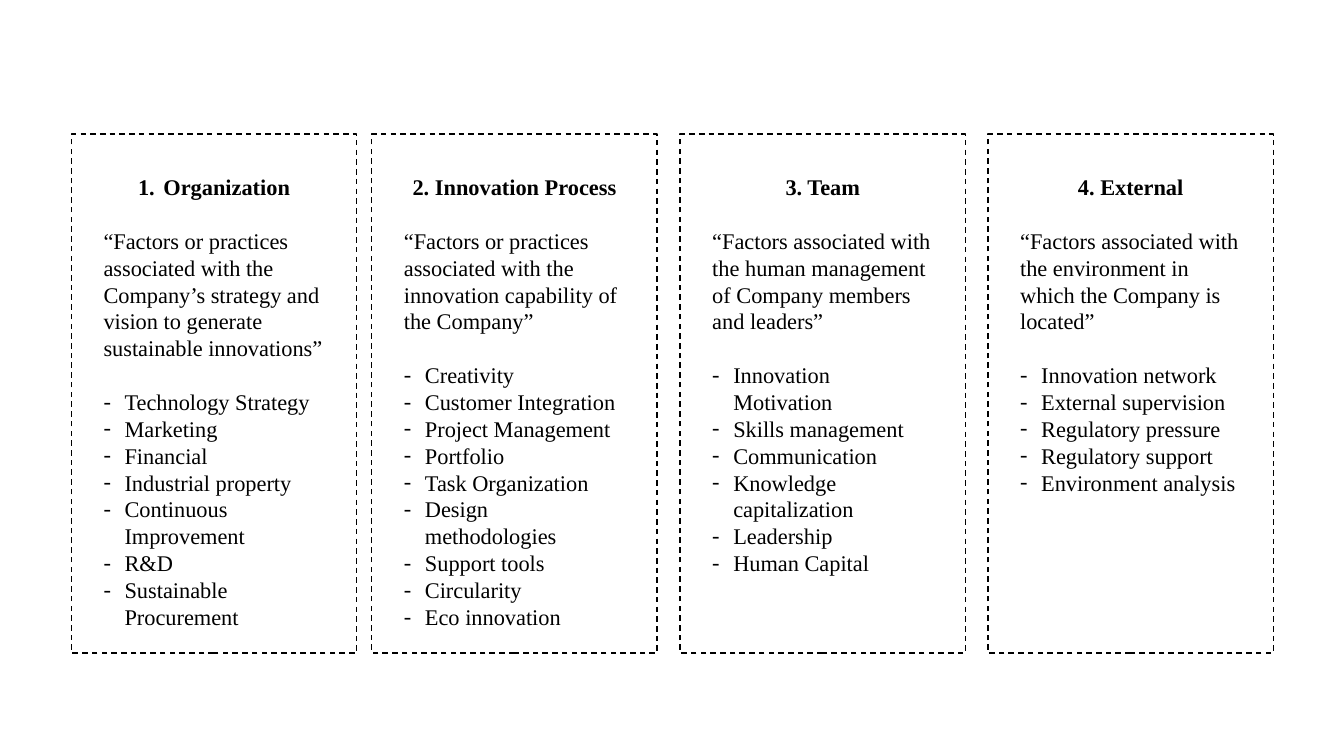
from collections import namedtuple
from dataclasses import dataclass

from lxml import etree
from pptx import Presentation
from pptx import util as u
from pptx.dml.color import RGBColor
from pptx.enum import dml, shapes, text
from pptx.oxml.ns import qn


@dataclass(frozen=True)
class Theme:
    ink: str = "000000"
    font: str = "Times New Roman"
    size: float = 16
    line_pitch: float = 19.2
    border: float = 1

    @property
    def color(self):
        return RGBColor.from_string(self.ink)


THEME = Theme()
Box = namedtuple("Box", "left top width height")
Factor = namedtuple("Factor", "left lines numbered heading definition practices")

FACTORS = [
    Factor(1.8, 17, True, "Organization",
           "“Factors or practices associated with the Company’s strategy and "
           "vision to generate sustainable innovations”",
           ["Technology Strategy", "Marketing", "Financial", "Industrial property",
            "Continuous Improvement", "R&D", "Sustainable Procurement"]),
    Factor(9.37, 18, False, "2. Innovation Process",
           "“Factors or practices associated with the innovation capability of "
           "the Company”",
           ["Creativity", "Customer Integration", "Project Management", "Portfolio",
            "Task Organization", "Design methodologies", "Support tools",
            "Circularity", "Eco innovation"]),
    Factor(17.14, 17, False, "3. Team",
           "“Factors associated with the human management of Company members "
           "and leaders”",
           ["Innovation Motivation", "Skills management", "Communication",
            "Knowledge capitalization", "Leadership", "Human Capital"]),
    Factor(24.9, 12, False, "4. External",
           "“Factors associated with the environment in which the Company is "
           "located”",
           ["Innovation network", "External supervision", "Regulatory pressure",
            "Regulatory support", "Environment analysis"]),
]


def set_bullet(paragraph, indent, tag, **attributes):
    properties = paragraph._p.get_or_add_pPr()
    properties.set("marL", str(u.Cm(indent)))
    properties.set("indent", str(-u.Cm(indent)))
    color = etree.SubElement(properties, qn("a:buClr"))
    etree.SubElement(color, qn("a:srgbClr"), val=THEME.ink)
    etree.SubElement(properties, qn("a:buFont"), typeface=THEME.font)
    etree.SubElement(properties, qn(tag), **attributes)


def format_paragraph(paragraph, bold=False, gap_after=False):
    paragraph.line_spacing = u.Pt(THEME.line_pitch)
    paragraph.space_after = u.Pt(THEME.line_pitch if gap_after else 0)
    paragraph.font.name = THEME.font
    paragraph.font.size = u.Pt(THEME.size)
    paragraph.font.bold = bold
    paragraph.font.color.rgb = THEME.color


def add_frame(slide, box):
    frame = slide.shapes.add_shape(
        shapes.MSO_SHAPE.RECTANGLE, *(u.Cm(length) for length in box))
    frame.shadow.inherit = False
    frame.fill.background()
    frame.line.color.rgb = THEME.color
    frame.line.width = u.Pt(THEME.border)
    frame.line.dash_style = dml.MSO_LINE.DASH


def add_factor(slide, box, factor):
    add_frame(slide, box)
    text_box = slide.shapes.add_textbox(
        u.Cm(box.left + 0.56), u.Cm(box.top + 0.86),
        u.Cm(box.width - 1.12), u.Cm(0.25 + 0.684 * factor.lines))
    content = text_box.text_frame
    content.word_wrap = True
    content.auto_size = text.MSO_AUTO_SIZE.SHAPE_TO_FIT_TEXT

    heading = content.paragraphs[0]
    heading.text = factor.heading
    heading.alignment = text.PP_ALIGN.CENTER
    if factor.numbered:
        set_bullet(heading, 0.64, "a:buAutoNum", type="arabicPeriod")
    format_paragraph(heading, bold=True, gap_after=True)

    definition = content.add_paragraph()
    definition.text = factor.definition
    format_paragraph(definition, gap_after=True)

    for practice in factor.practices:
        item = content.add_paragraph()
        item.text = practice
        set_bullet(item, 0.53, "a:buChar", char="-")
        format_paragraph(item)


def main():
    presentation = Presentation()
    presentation.slide_width = u.Cm(33.87)
    presentation.slide_height = u.Cm(19.05)
    slide = presentation.slides.add_slide(presentation.slide_layouts[6])
    for factor in FACTORS:
        add_factor(slide, Box(factor.left, 3.38, 7.19, 13.08), factor)
    presentation.save("out.pptx")


if __name__ == "__main__":
    main()
